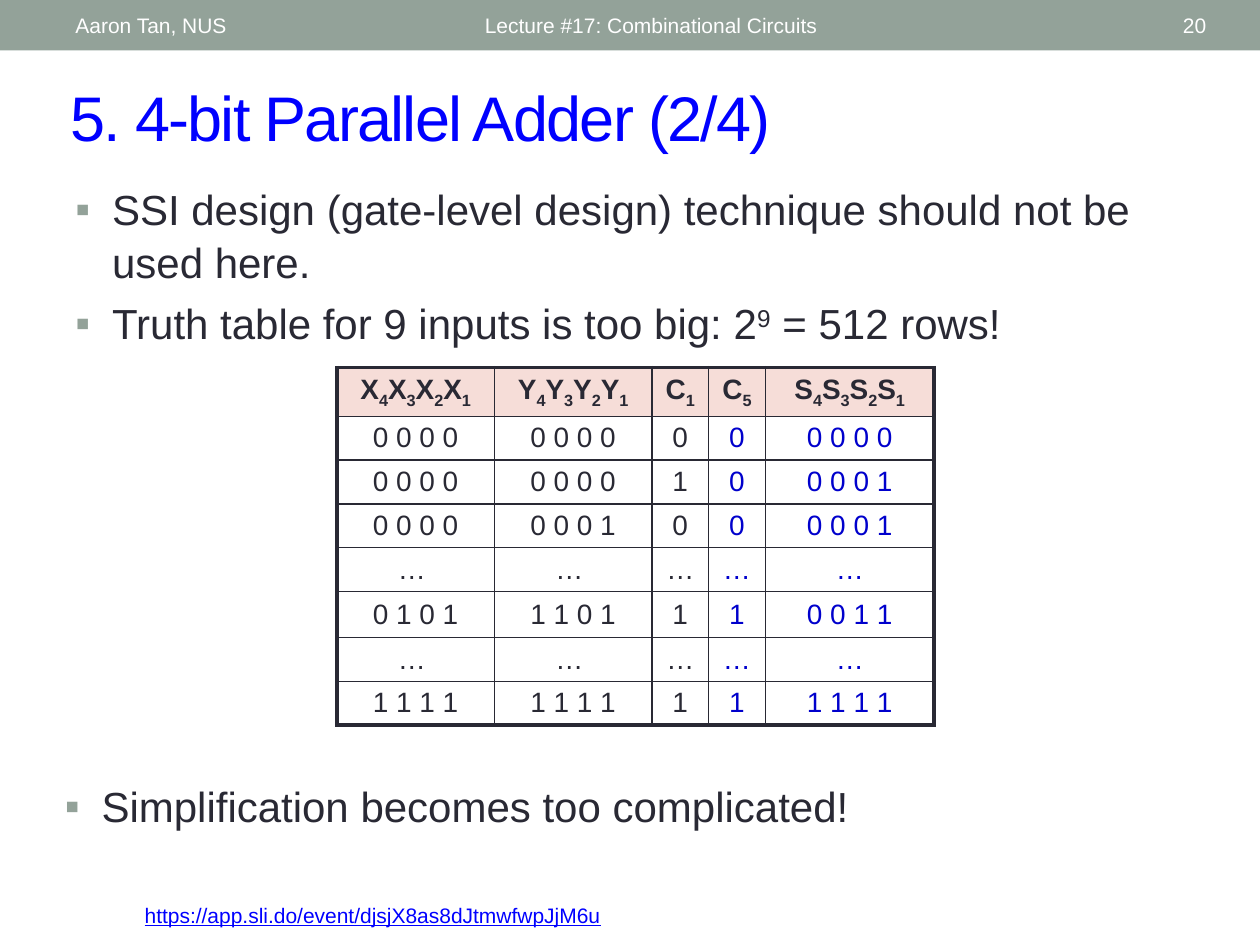
import pptx
import pptx.dml.color
import pptx.enum.shapes
import pptx.enum.text
import pptx.oxml
import pptx.oxml.ns
import pptx.util

Pt = pptx.util.Pt
ALIGN = pptx.enum.text.PP_ALIGN
MIDDLE = pptx.enum.text.MSO_ANCHOR.MIDDLE
TOP = pptx.enum.text.MSO_ANCHOR.TOP
FONT = "Arial"
COLORS = {
    "banner": "93A299",
    "banner_text": "FFFFFF",
    "title": "0000FF",
    "body": "292934",
    "output": "0000CC",
    "heading_fill": "F6DDD8",
}
COLUMN_WIDTHS = [90, 90, 32.4, 32.4, 96.5]
ROW_HEIGHTS = [28, 25, 25, 25, 25, 26.5, 25, 25]
HEADINGS = [("X", "4321"), ("Y", "4321"), ("C", "1"), ("C", "5"), ("S", "4321")]
FIRST_OUTPUT = 3
TRUTH_ROWS = [
    ["0 0 0 0", "0 0 0 0", "0", "0", "0 0 0 0"],
    ["0 0 0 0", "0 0 0 0", "1", "0", "0 0 0 1"],
    ["0 0 0 0", "0 0 0 1", "0", "0", "0 0 0 1"],
    ["… ", "… ", "…", "…", "…"],
    ["0 1 0 1", "1 1 0 1", "1", "1", "0 0 1 1"],
    ["… ", "… ", "…", "…", "…"],
    ["1 1 1 1", "1 1 1 1", "1", "1", "1 1 1 1"],
]


def rgb(color):
    return pptx.dml.color.RGBColor.from_string(COLORS[color])


def add_xml(parent, tag, content="", **attributes):
    listed = "".join(f' {key}="{value}"' for key, value in attributes.items())
    namespace = pptx.oxml.ns.nsdecls("a")
    parent.append(pptx.oxml.parse_xml(f"<a:{tag} {namespace}{listed}>{content}</a:{tag}>"))


def write_runs(paragraph, pieces, size, color, bold=False):
    for text, baseline in pieces:
        run = paragraph.add_run()
        run.text = text
        run.font.name = FONT
        run.font.size = Pt(size)
        run.font.bold = bold
        run.font.color.rgb = rgb(color)
        if baseline:
            run.font._element.set("baseline", str(baseline * 1000))


def add_frame(slide, left, top, width, height, anchor=TOP):
    frame = slide.shapes.add_textbox(Pt(left), Pt(top), Pt(width), Pt(height)).text_frame
    frame.word_wrap = True
    frame.vertical_anchor = anchor
    return frame


def add_label(slide, text, left, top, width, height, color, align=ALIGN.LEFT):
    frame = add_frame(slide, left, top, width, height, MIDDLE)
    paragraph = frame.paragraphs[0]
    paragraph.alignment = align
    write_runs(paragraph, [(text, 0)], 12, color)
    return paragraph


def add_banner(slide):
    rectangle = pptx.enum.shapes.MSO_SHAPE.RECTANGLE
    banner = slide.shapes.add_shape(rectangle, 0, 0, Pt(720), Pt(28.8))
    banner.shadow.inherit = False
    banner.fill.solid()
    banner.fill.fore_color.rgb = rgb("banner")
    banner.line.fill.background()
    for text, left, width, align in [
        ("Lecture #17: Combinational Circuits", 270, 324, ALIGN.LEFT),
        ("20", 628, 68.4, ALIGN.RIGHT),
        ("Aaron Tan, NUS", 36, 228, ALIGN.LEFT),
    ]:
        add_label(slide, text, left, 1.5, width, 26, "banner_text", align)


def set_title(slide, text):
    title = slide.shapes.title
    title.left, title.top, title.width, title.height = Pt(33), Pt(41), Pt(663), Pt(50.4)
    frame = title.text_frame
    frame.auto_size = pptx.enum.text.MSO_AUTO_SIZE.NONE
    frame.vertical_anchor = MIDDLE
    paragraph = frame.paragraphs[0]
    paragraph.alignment = ALIGN.LEFT
    write_runs(paragraph, [(text, 0)], 36, "title")
    paragraph.runs[0].font._element.set("spc", "-100")


def add_bullets(slide, items, left, top, width, height):
    frame = add_frame(slide, left, top, width, height)
    for index, pieces in enumerate(items):
        paragraph = frame.add_paragraph() if index else frame.paragraphs[0]
        paragraph.line_spacing = 1.05
        if index:
            paragraph.space_before = Pt(4.8)
        properties = paragraph._p.get_or_add_pPr()
        properties.set("marL", str(Pt(21)))
        properties.set("indent", str(-Pt(21)))
        add_xml(properties, "buClr", f'<a:srgbClr val="{COLORS["banner"]}"/>')
        add_xml(properties, "buFont", typeface=FONT)
        add_xml(properties, "buChar", char="▪")
        write_runs(paragraph, pieces, 24, "body")


def format_cell(cell, row, column):
    outer_edges = {
        "lnL": column == 0,
        "lnR": column == len(COLUMN_WIDTHS) - 1,
        "lnT": row == 0,
        "lnB": row == len(ROW_HEIGHTS) - 1,
    }
    line_fill = f'<a:solidFill><a:srgbClr val="{COLORS["body"]}"/></a:solidFill>'
    for tag, outer in outer_edges.items():
        add_xml(cell._tc.get_or_add_tcPr(), tag, line_fill, w=Pt(2.25 if outer else 1))
    if row == 0:
        cell.fill.solid()
        cell.fill.fore_color.rgb = rgb("heading_fill")
    else:
        cell.fill.background()
    cell.vertical_anchor = MIDDLE
    cell.margin_left = cell.margin_right = Pt(3.6)
    cell.margin_top = cell.margin_bottom = Pt(2)


def add_truth_table(slide):
    truth_table = slide.shapes.add_table(
        len(ROW_HEIGHTS), len(COLUMN_WIDTHS), Pt(192.5), Pt(210),
        Pt(sum(COLUMN_WIDTHS)), Pt(sum(ROW_HEIGHTS))).table
    truth_table.first_row = truth_table.horz_banding = False
    for column, width in zip(truth_table.columns, COLUMN_WIDTHS):
        column.width = Pt(width)
    for row, height in zip(truth_table.rows, ROW_HEIGHTS):
        row.height = Pt(height)
    headings = [
        [piece for digit in digits for piece in ((letter, 0), (digit, -25))]
        for letter, digits in HEADINGS
    ]
    values = [[[(value, 0)] for value in row] for row in TRUTH_ROWS]
    for row, entries in enumerate([headings] + values):
        for column, pieces in enumerate(entries):
            cell = truth_table.cell(row, column)
            format_cell(cell, row, column)
            paragraph = cell.text_frame.paragraphs[0]
            paragraph.alignment = ALIGN.CENTER
            color = "output" if row and column >= FIRST_OUTPUT else "body"
            write_runs(paragraph, pieces, 16, color, bold=row == 0)


def main():
    deck = pptx.Presentation()
    deck.slide_width, deck.slide_height = Pt(720), Pt(540)
    slide = deck.slides.add_slide(deck.slide_layouts[5])
    add_banner(slide)
    set_title(slide, "5. 4-bit Parallel Adder (2/4)")
    add_bullets(slide, [
        [("SSI design (gate-level design) technique should not be used here.", 0)],
        [("Truth table for 9 inputs is too big: 2", 0), ("9", 30), (" = 512 rows!", 0)],
    ], 36, 100, 618, 103)
    add_truth_table(slide)
    add_bullets(slide, [[("Simplification becomes too complicated!", 0)]], 30, 441, 648, 42)
    poll_link = add_label(
        slide, "https://app.sli.do/event/djsjX8as8dJtmwfwpJjM6u", 75.6, 512, 545, 21.6, "title")
    poll_link.runs[0].font.underline = True
    deck.save("out.pptx")


if __name__ == "__main__":
    main()
